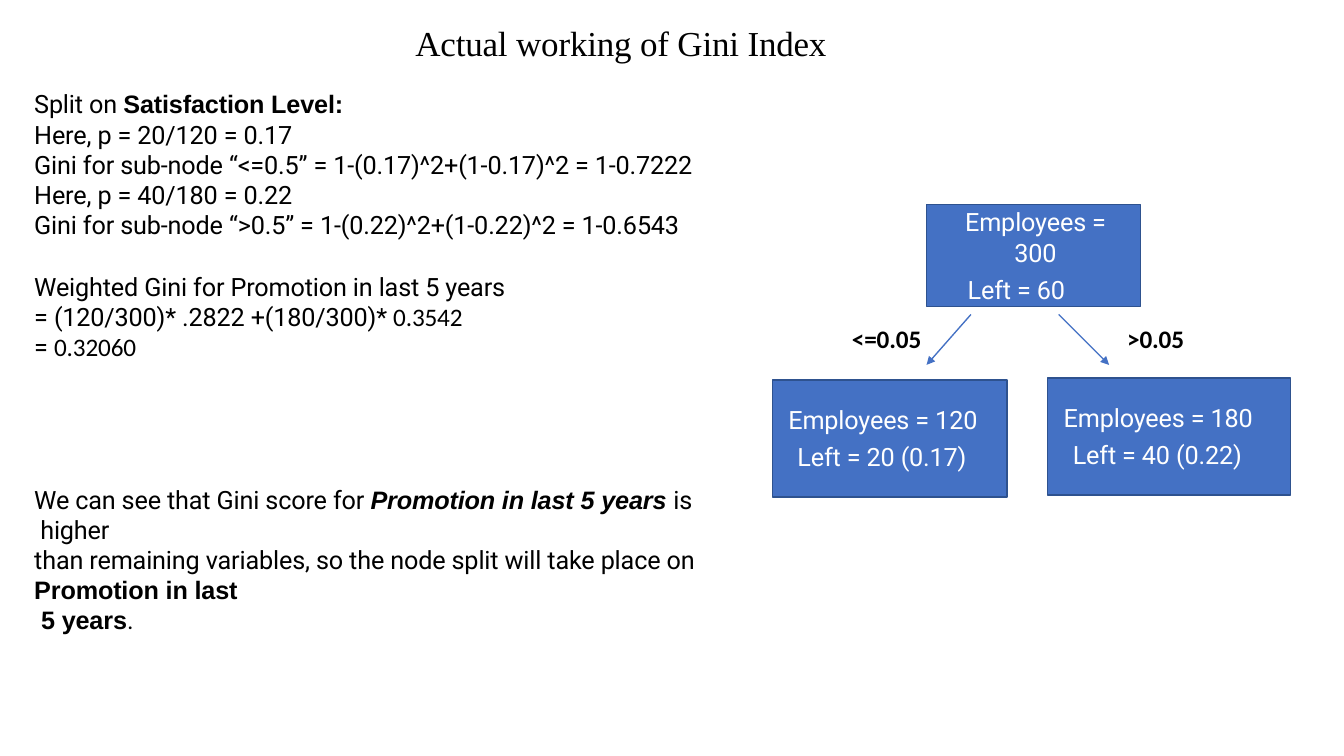
import dataclasses

import pptx
import pptx.dml.color
import pptx.enum.shapes
import pptx.enum.text
import pptx.oxml
import pptx.oxml.ns
import pptx.util
from pptx.util import Inches

BREAK = "\v"


@dataclasses.dataclass(frozen=True)
class Theme:
    ink: str = "000000"
    paper: str = "FFFFFF"
    node_fill: str = "4471C4"
    node_line: str = "2E528F"
    line_width: float = 0.96
    title_size: int = 25
    body_size: int = 18
    title_font: str = "Times New Roman"
    body_font: str = "Roboto"
    strong_font: str = "Arial"
    number_font: str = "Calibri"
    tracking: int = -10


class GiniSlide:
    def __init__(self, page, theme):
        self.page = page
        self.theme = theme

    def color(self, value):
        return pptx.dml.color.RGBColor.from_string(value)

    def style(self, span, look="", color=None, size=None):
        """Look is one of: empty, strong, emphasis, number, label, title."""
        theme = self.theme
        fonts = {"strong": theme.strong_font, "emphasis": theme.strong_font,
                 "number": theme.number_font, "label": theme.number_font,
                 "title": theme.title_font}
        span.font.name = fonts.get(look, theme.body_font)
        span.font.size = pptx.util.Pt(size or theme.body_size)
        span.font.bold = look in ("strong", "emphasis", "label")
        span.font.italic = look == "emphasis"
        span.font.color.rgb = self.color(color or theme.ink)
        span._r.get_or_add_rPr().set("spc", str(theme.tracking))

    def place(self, box, left, top, width, height):
        box.left, box.top = Inches(left), Inches(top)
        box.width, box.height = Inches(width), Inches(height)

    def frame(self, box, inset):
        frame = box.text_frame
        frame.word_wrap = True
        frame.auto_size = pptx.enum.text.MSO_AUTO_SIZE.NONE
        frame.vertical_anchor = pptx.enum.text.MSO_ANCHOR.TOP
        frame.margin_left = frame.margin_right = frame.margin_bottom = 0
        frame.margin_top = Inches(inset)
        return frame

    def indent(self, para, left, right=0):
        settings = para._p.get_or_add_pPr()
        settings.set("marL", str(Inches(left)))
        settings.set("marR", str(Inches(right)))
        settings.set("indent", "0")

    def title(self, text, *bounds):
        box = self.page.shapes.title
        self.place(box, *bounds)
        frame = self.frame(box, 0.01)
        frame.text = text
        para = frame.paragraphs[0]
        para.alignment = pptx.enum.text.PP_ALIGN.LEFT
        self.indent(para, 0.01)
        self.style(para.runs[0], "title", size=self.theme.title_size)

    def text(self, lines, *bounds, spacing=None):
        """Each line is a list of (text, look) spans."""
        box = self.page.shapes.add_textbox(*map(Inches, bounds))
        frame = self.frame(box, 0.02)
        for number, line in enumerate(lines):
            para = frame.add_paragraph() if number else frame.paragraphs[0]
            self.indent(para, 0.01)
            if spacing:
                para.line_spacing = pptx.util.Pt(spacing)
            for words, look in line:
                if words == BREAK:
                    para.add_line_break()
                    continue
                span = para.add_run()
                span.text = words
                self.style(span, look)

    def node(self, lines, margins, inset, align, *bounds):
        theme = self.theme
        box = self.page.shapes.add_shape(
            pptx.enum.shapes.MSO_SHAPE.RECTANGLE, *map(Inches, bounds))
        box.shadow.inherit = False
        box.fill.solid()
        box.fill.fore_color.rgb = self.color(theme.node_fill)
        box.line.color.rgb = self.color(theme.node_line)
        box.line.width = pptx.util.Pt(theme.line_width)
        frame = self.frame(box, inset)
        frame.text = "\n".join(lines)
        for number, (para, margin) in enumerate(zip(frame.paragraphs, margins)):
            para.alignment = align
            para.space_before = pptx.util.Pt(5 if number else 0)
            self.indent(para, *margin)
            self.style(para.runs[0], color=theme.paper)

    def arrow(self, *ends):
        line = self.page.shapes.add_connector(
            pptx.enum.shapes.MSO_CONNECTOR.STRAIGHT, *map(Inches, ends))
        line.line.color.rgb = self.color(self.theme.node_fill)
        line.line.width = pptx.util.Pt(self.theme.line_width)
        head = pptx.oxml.ns.qn("a:tailEnd")
        line.line._get_or_add_ln().makeelement(head)
        outline = line.line._get_or_add_ln()
        outline.append(outline.makeelement(head, {"type": "triangle"}))
        line._element.spPr.append(
            outline.makeelement(pptx.oxml.ns.qn("a:effectLst")))


def main():
    deck = pptx.Presentation()
    deck.slide_width, deck.slide_height = Inches(13.33), Inches(7.5)
    page = deck.slides.add_slide(deck.slide_layouts[5])
    slide = GiniSlide(page, Theme())

    slide.title("Actual working of Gini Index", 4.11, 0.2, 4.4, 0.44)

    # Calculation for each sub-node
    slide.text([
        [("Split on ", ""), ("Satisfaction Level:", "strong")],
        [("Here, p = 20/120 = 0.17", "")],
        [("Gini for sub-node “<=0.5” = 1-(0.17)^2+(1-0.17)^2 = 1-0.7222", "")],
        [("Here, p = 40/180 = 0.22", "")],
        [("Gini for sub-node “>0.5” = 1-(0.22)^2+(1-0.22)^2 = 1-0.6543", "")],
    ], 0.33, 0.86, 6.9, 1.53)

    # Weighted score
    slide.text([
        [("Weighted Gini for Promotion in last 5 years", "")],
        [("= (120/300)* .2822 +(180/300)* ", ""), ("0.3542", "number")],
        [("= ", ""), ("0.32060", "number")],
    ], 0.33, 2.67, 4.9, 0.92, spacing=21.4)

    # Conclusion
    slide.text([
        [("We can see that Gini score for ", ""),
         ("Promotion in last 5 years ", "emphasis"),
         ("is", ""), (BREAK, ""), (" higher", "")],
        [("than remaining variables, so the node split will take place on", "")],
        [("Promotion in last", "strong"), (BREAK, ""),
         (" 5 years", "strong"), (".", "")],
    ], 0.33, 4.78, 6.63, 1.83)

    # Decision tree nodes
    align = pptx.enum.text.PP_ALIGN
    slide.node(["Employees = 300", "Left = 60"], [(0.34, 0.3), (0, 0.34)],
               0.02, align.CENTER, 9.19, 2.03, 2.12, 1.01)
    leaves = [("120", "20 (0.17)", 7.66, 3.77, 2.33),
              ("180", "40 (0.22)", 10.39, 3.75, 2.41)]
    for staff, left_staff, left, top, width in leaves:
        slide.node([f"Employees = {staff}", f"Left = {left_staff}"],
                   [(0.16,), (0.25,)], 0.24, align.LEFT,
                   left, top, width, 1.16)

    # Branches and their conditions
    slide.arrow(9.63, 3.12, 9.19, 3.62)
    slide.arrow(10.5, 3.12, 11, 3.62)
    for condition, left in [("<=0.05", 8.44), (">0.05", 11.17)]:
        slide.text([[(condition, "label")]], left, 3.19, 0.8, 0.33)

    deck.save("out.pptx")


if __name__ == "__main__":
    main()
